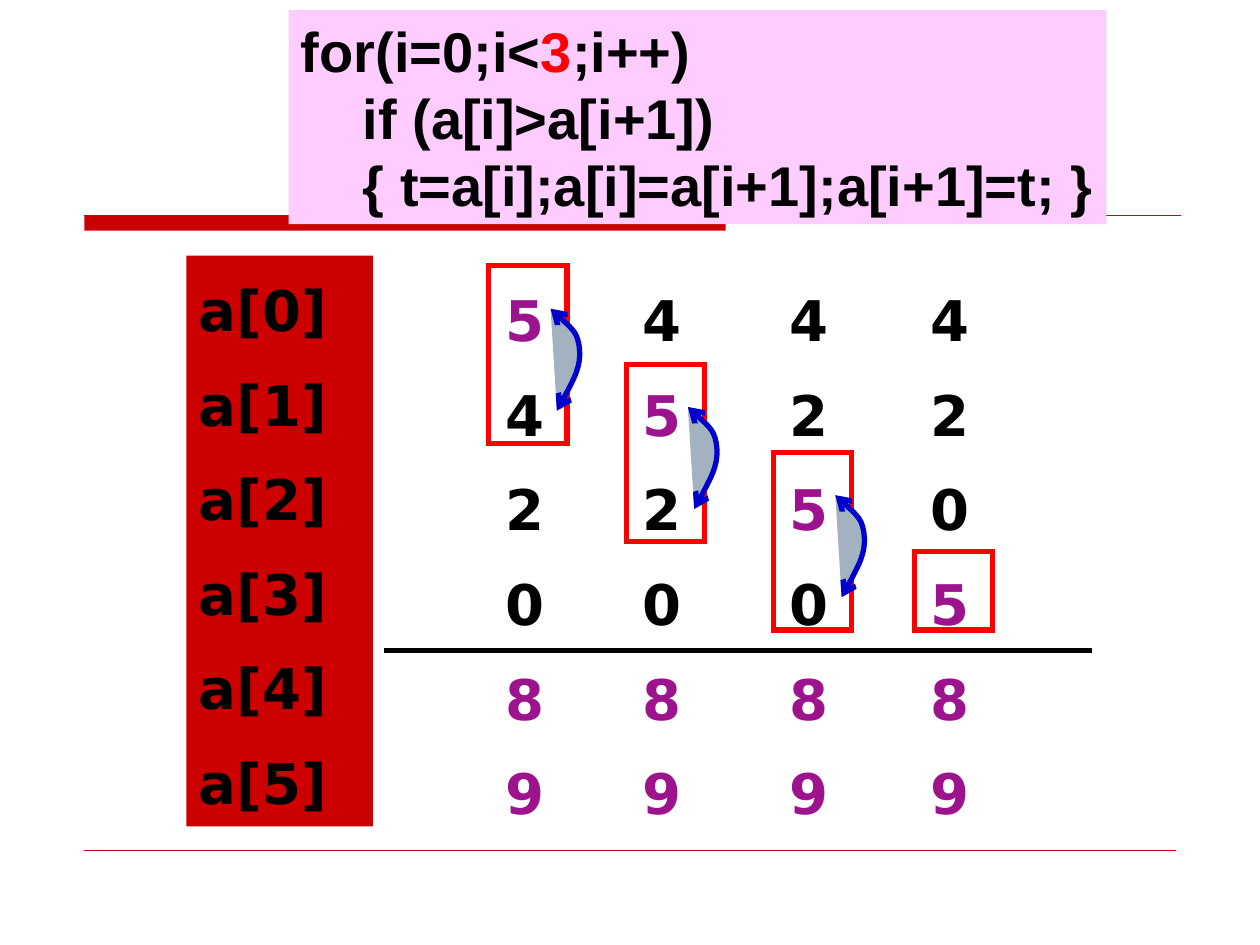
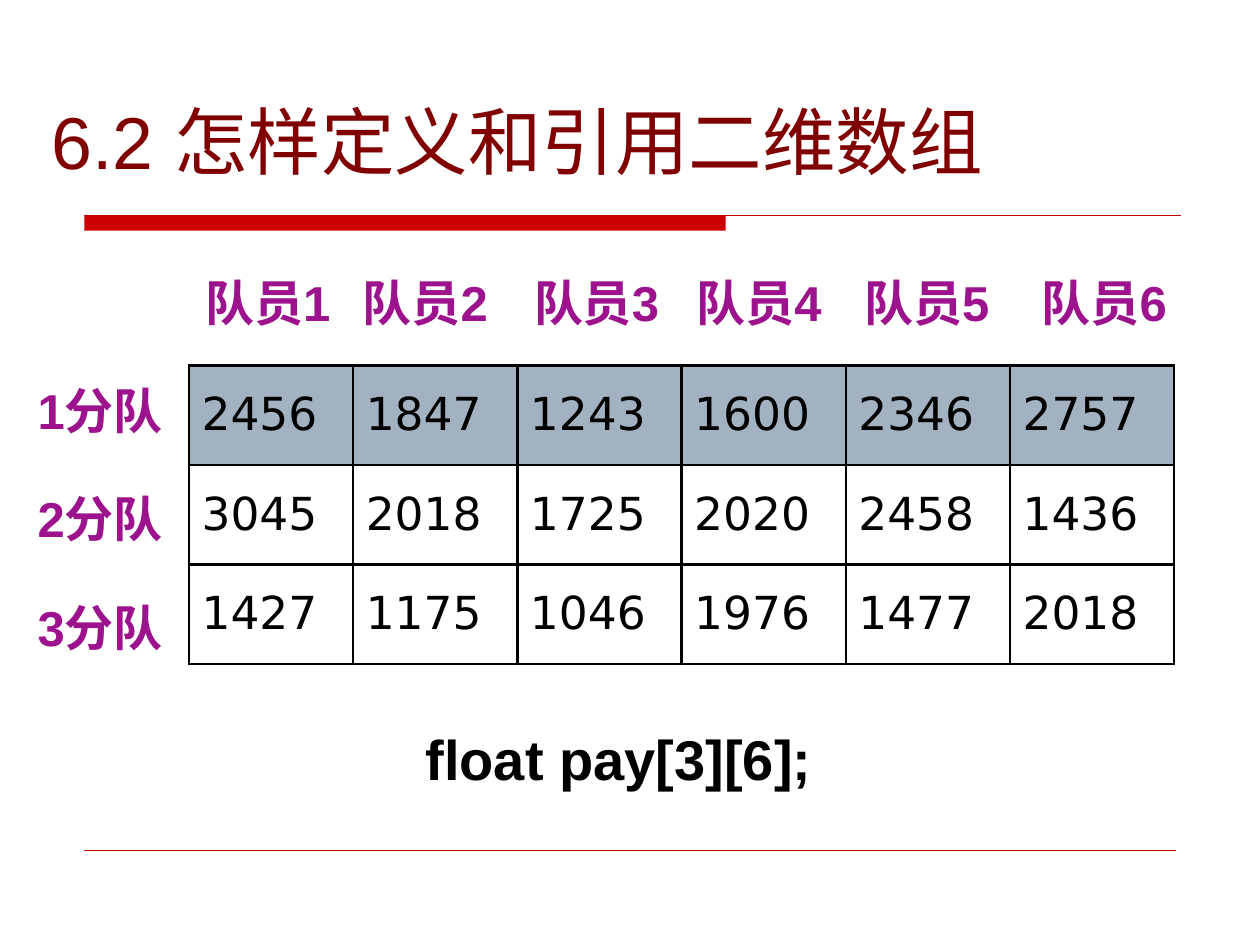
import collections

import lxml.etree
import pptx
import pptx.dml.color
import pptx.enum.shapes
import pptx.enum.text
import pptx.oxml.ns
import pptx.util

RGB = pptx.dml.color.RGBColor
SHAPES = pptx.enum.shapes.MSO_SHAPE
ANCHOR = pptx.enum.text.MSO_ANCHOR
FIT = pptx.enum.text.MSO_AUTO_SIZE
qn = pptx.oxml.ns.qn

BLACK = RGB(0x00, 0x00, 0x00)
WHITE = RGB(0xFF, 0xFF, 0xFF)
BRAND_RED = RGB(0xCC, 0x00, 0x00)
FRAME_RED = RGB(0xFF, 0x00, 0x00)
TITLE_RED = RGB(0x80, 0x00, 0x00)
PURPLE = RGB(0x9D, 0x13, 0x8D)
PINK = RGB(0xFF, 0xCC, 0xFF)
SLATE = RGB(0xA3, 0xB2, 0xC1)
SWAP_BLUE = RGB(0x00, 0x00, 0xCC)

SANS = "Arial"
DIGITS = "DejaVu Sans"
WIDTH = pptx.util.Inches(10)
HEIGHT = pptx.util.Inches(7.5)
COLUMNS, ROWS = 100, 75

Box = collections.namedtuple("Box", "col row cols rows")
Style = collections.namedtuple("Style", "font size color bold")
CODE = Style(SANS, 32, BLACK, True)
ELEMENT = Style(DIGITS, 32, BLACK, True)
LABEL = Style(SANS, 28, PURPLE, True)
PAY = Style(DIGITS, 26, BLACK, False)
HEADING = Style(SANS, 42, TITLE_RED, False)

PASSES = ("542089", "452089", "425089", "420589")
PASS_COLUMNS = (0, 10.9, 22.6, 33.8)
FRAME_ROWS = (0, 7.8, 14.8, 22.7)
SWAP_CURVE = ((5.4, 11.5), (6.4, 9.7), (7.3, 8), (7.2, 6.7),
              (7.1, 5.3), (6, 4.4), (4.9, 3.4))
PAYS = (("2456", "1847", "1243", "1600", "2346", "2757"),
        ("3045", "2018", "1725", "2020", "2458", "1436"),
        ("1427", "1175", "1046", "1976", "1477", "2018"))
MEMBER_COLUMNS = (0, 12.5, 26.1, 39, 52.3, 66.4)
LABEL_COLS, LABEL_ROWS = 14.8, 5.7


def across(cols):
    """Turn grid columns into a length."""
    return int(WIDTH * cols / COLUMNS)


def down(rows):
    """Turn grid rows into a length."""
    return int(HEIGHT * rows / ROWS)


def measure(box):
    """Give left, top, width and height of a grid box."""
    return across(box.col), down(box.row), across(box.cols), down(box.rows)


def within(box, col, row, cols, rows):
    """Give a box placed relative to another box."""
    return Box(box.col + col, box.row + row, cols, rows)


def add_span(para, text, style, color=None):
    """Add one formatted run."""
    span = para.add_run()
    span.text = text
    span.font.name = style.font
    span.font.size = pptx.util.Pt(style.size)
    span.font.bold = style.bold
    span.font.color.rgb = color or style.color


def get_outline(shape):
    """Give the outline element of a shape."""
    return shape.element.find(qn("p:spPr")).find(qn("a:ln"))


def add_panel(page, box, fill=None, line=None, preset=SHAPES.RECTANGLE):
    """Add a flat shape with an optional fill and square-cornered outline."""
    panel = page.shapes.add_shape(preset, *measure(box))
    panel.shadow.inherit = False
    if fill is None:
        panel.fill.background()
    else:
        panel.fill.solid()
        panel.fill.fore_color.rgb = fill
    if line is None:
        panel.line.fill.background()
    else:
        panel.line.color.rgb = line
        panel.line.width = pptx.util.Pt(3)
        lxml.etree.SubElement(get_outline(panel), qn("a:miter"), lim="800000")
    return panel


def add_rule(page, box, color, weight):
    """Draw a horizontal line along the top of a box."""
    left, top, width, _ = measure(box)
    rule = page.shapes.add_connector(
        pptx.enum.shapes.MSO_CONNECTOR.STRAIGHT, left, top, left + width, top)
    rule.line.color.rgb = color
    rule.line.width = pptx.util.Pt(weight)
    lxml.etree.SubElement(rule.element.find(qn("p:spPr")), qn("a:effectLst"))
    rule.element.remove(rule.element.find(qn("p:style")))
    return rule


def fill_lines(shape, lines, style):
    """Write lines of (text, color) spans, one paragraph each, from the top."""
    frame = shape.text_frame
    frame.vertical_anchor = ANCHOR.TOP
    for number, spans in enumerate(lines):
        para = frame.add_paragraph() if number else frame.paragraphs[0]
        para.alignment = pptx.enum.text.PP_ALIGN.LEFT
        for text, color in spans:
            add_span(para, text, style, color)
    return frame


def add_label(page, box, text, style):
    """Add a single line of text in a box wide enough to hold it."""
    label = page.shapes.add_textbox(*measure(box))
    frame = fill_lines(label, [[(text, None)]], style)
    frame.word_wrap = True
    frame.auto_size = FIT.NONE


def fill_stack(shape, lines):
    """Write array entries with the spacing that aligns all stacks."""
    frame = fill_lines(shape, lines, ELEMENT)
    frame.word_wrap = True
    for para in frame.paragraphs:
        para.line_spacing = 1.2
        para.space_before = pptx.util.Pt(8)


def add_bands(page, box):
    """Put the title band and footer line on the layout behind the page."""
    layout = page.slide_layout
    bands = (add_panel(page, within(box, 0, 0, 50.9, 1.2), BRAND_RED),
             add_rule(page, box, BRAND_RED, 1),
             add_rule(page, within(box, 0, 50.4, 86.6, 0), BRAND_RED, 0.25))
    for number, band in enumerate(bands, 100):
        band.element.xpath(".//p:cNvPr")[0].set("id", str(number))
        layout.shapes.element.append(band.element)


def add_swap_arrow(page, box):
    """Draw the curved double arrow between two swapped entries."""
    points = [(across(box.col + col), down(box.row + row)) for col, row in SWAP_CURVE]
    builder = page.shapes.build_freeform(*points[0])
    builder.add_line_segments(points[1:], close=False)
    arrow = builder.convert_to_shape()
    arrow.shadow.inherit = False
    arrow.fill.solid()
    arrow.fill.fore_color.rgb = SLATE
    arrow.line.color.rgb = SWAP_BLUE
    arrow.line.width = pptx.util.Pt(3)
    steps = list(arrow.element.iter(qn("a:lnTo")))
    for first in range(0, len(steps), 3):
        curve = lxml.etree.Element(qn("a:cubicBezTo"))
        steps[first].addprevious(curve)
        for step in steps[first:first + 3]:
            curve.append(step[0])
            step.getparent().remove(step)
    for end in ("a:headEnd", "a:tailEnd"):
        lxml.etree.SubElement(get_outline(arrow), qn(end), type="arrow")


def add_passes(page, box):
    """Show the array after each comparison, with the compared pair framed."""
    last = len(PASSES) - 1
    for number, (digits, col, row) in enumerate(zip(PASSES, PASS_COLUMNS, FRAME_ROWS)):
        stack = page.shapes.add_textbox(*measure(within(box, col, 0, 7.8, box.rows)))
        fill_stack(stack, [[(digit, PURPLE if digit in "589" else BLACK)]
                           for digit in digits])
        pair = within(box, col - 0.3, row, 6.2, 6.2 if number == last else 14.1)
        add_panel(page, pair, line=FRAME_RED, preset=SHAPES.FLOWCHART_PROCESS)
        if number < last:
            add_swap_arrow(page, pair)


def add_code(page, box):
    """Add the code panel with its indented loop body."""
    panel = add_panel(page, box, PINK)
    frame = fill_lines(panel, [
        [("for(i=0;i<", None), ("3", FRAME_RED), (";i++)", None)],
        [("if (a[i]>a[i+1])", None)],
        [("{ t=a[i];a[i]=a[i+1];a[i+1]=t; }", None)]], CODE)
    frame.word_wrap = False
    frame.auto_size = FIT.SHAPE_TO_FIT_TEXT
    for para in frame.paragraphs[1:]:
        para._p.get_or_add_pPr().set("marL", str(across(4.9)))


def build_sort_page(page):
    """Build the bubble sort page."""
    title = page.shapes.title.element
    title.getparent().remove(title)
    add_rule(page, Box(30.5, 51.6, 56.2, 0), BLACK, 3)
    add_passes(page, Box(39.1, 21.1, 41.6, 45.3))
    names = add_panel(page, Box(14.8, 20.3, 14.8, 45.3), BRAND_RED)
    fill_stack(names, [[(f"a[{index}]", None)] for index in range(6)])
    add_code(page, Box(22.9, 0.8, 64.9, 17))


def add_title(page, box, text):
    """Fill and place the title placeholder."""
    title = page.shapes.title
    title.left, title.top, title.width, title.height = measure(box)
    frame = title.text_frame
    frame.vertical_anchor = ANCHOR.MIDDLE
    frame.auto_size = FIT.NONE
    para = frame.paragraphs[0]
    para.alignment = pptx.enum.text.PP_ALIGN.LEFT
    add_span(para, text, HEADING)


def add_borders(cell):
    """Draw black borders on all sides of a cell."""
    properties = cell._tc.get_or_add_tcPr()
    for place, side in enumerate(("a:lnL", "a:lnR", "a:lnT", "a:lnB")):
        line = lxml.etree.Element(qn(side), w=str(pptx.util.Pt(1.47)))
        fill = lxml.etree.SubElement(line, qn("a:solidFill"))
        lxml.etree.SubElement(fill, qn("a:srgbClr"), val=str(BLACK))
        properties.insert(place, line)


def add_pay_table(page, box):
    """Add the pay table with its first row shaded."""
    table = page.shapes.add_table(len(PAYS), len(PAYS[0]), *measure(box)).table
    table.first_row = table.horz_banding = False
    for row, pays in enumerate(PAYS):
        for col, pay in enumerate(pays):
            cell = table.cell(row, col)
            cell.vertical_anchor = ANCHOR.MIDDLE
            cell.fill.solid()
            cell.fill.fore_color.rgb = WHITE if row else SLATE
            add_span(cell.text_frame.paragraphs[0], pay, PAY)
            add_borders(cell)


def build_table_page(page):
    """Build the two-dimensional array page."""
    add_title(page, Box(3.1, 7.1, 93, 8), "6.2 怎样定义和引用二维数组")
    grid = Box(15, 29, 78.2, 23.7)
    add_pay_table(page, grid)
    for team in range(3):
        label = within(grid, -13, 0.7 + 8.6 * team, LABEL_COLS, LABEL_ROWS)
        add_label(page, label, f"{team + 1}分队", LABEL)
    for member, col in enumerate(MEMBER_COLUMNS, 1):
        label = within(grid, 0.3 + col, -7.9, LABEL_COLS, LABEL_ROWS)
        add_label(page, label, f"队员{member}", LABEL)
    add_label(page, within(grid, 17.8, 28, 37.5, 6.4), "float pay[3][6];", CODE)


def main():
    """Build and save the deck."""
    deck = pptx.Presentation()
    deck.slide_width, deck.slide_height = WIDTH, HEIGHT
    layout = deck.slide_layouts[5]
    sort_page, table_page = (deck.slides.add_slide(layout) for _ in range(2))
    add_bands(sort_page, Box(6.7, 17.1, 87, 1.2))
    build_sort_page(sort_page)
    build_table_page(table_page)
    deck.save("out.pptx")


if __name__ == "__main__":
    main()
